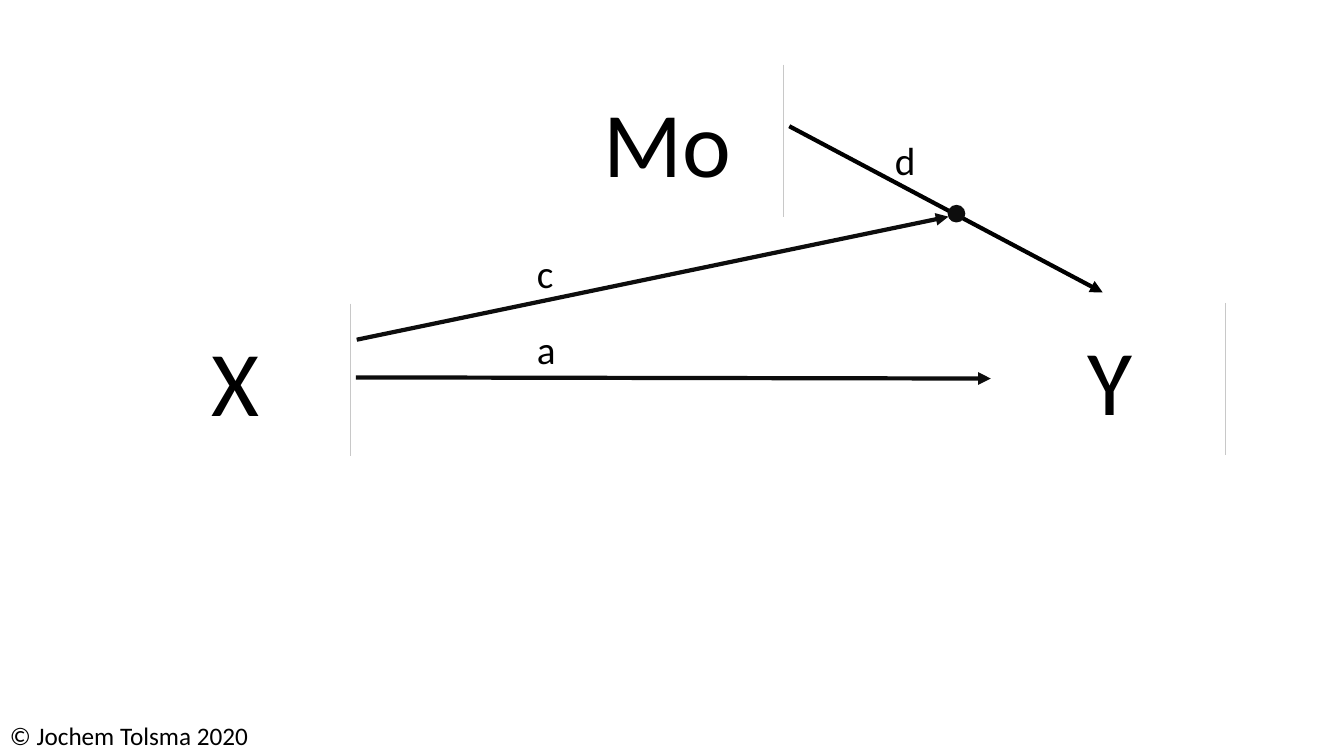
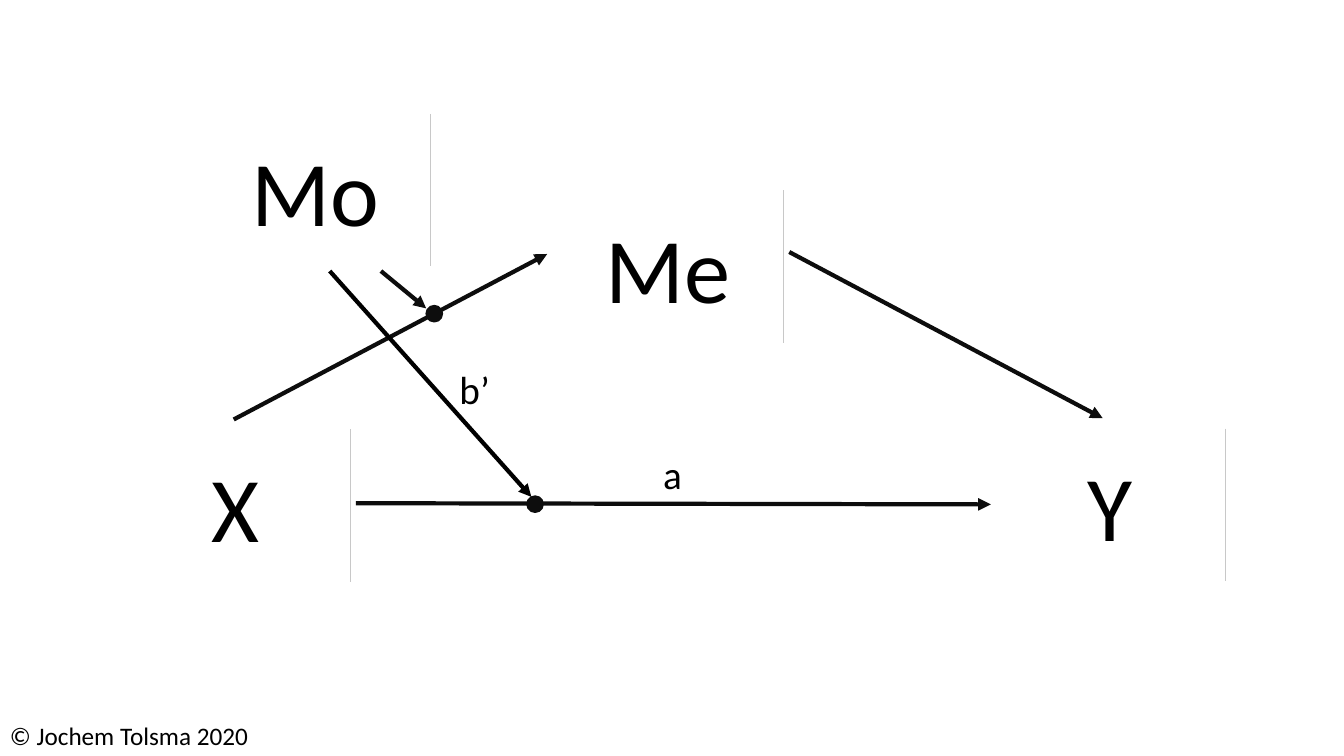
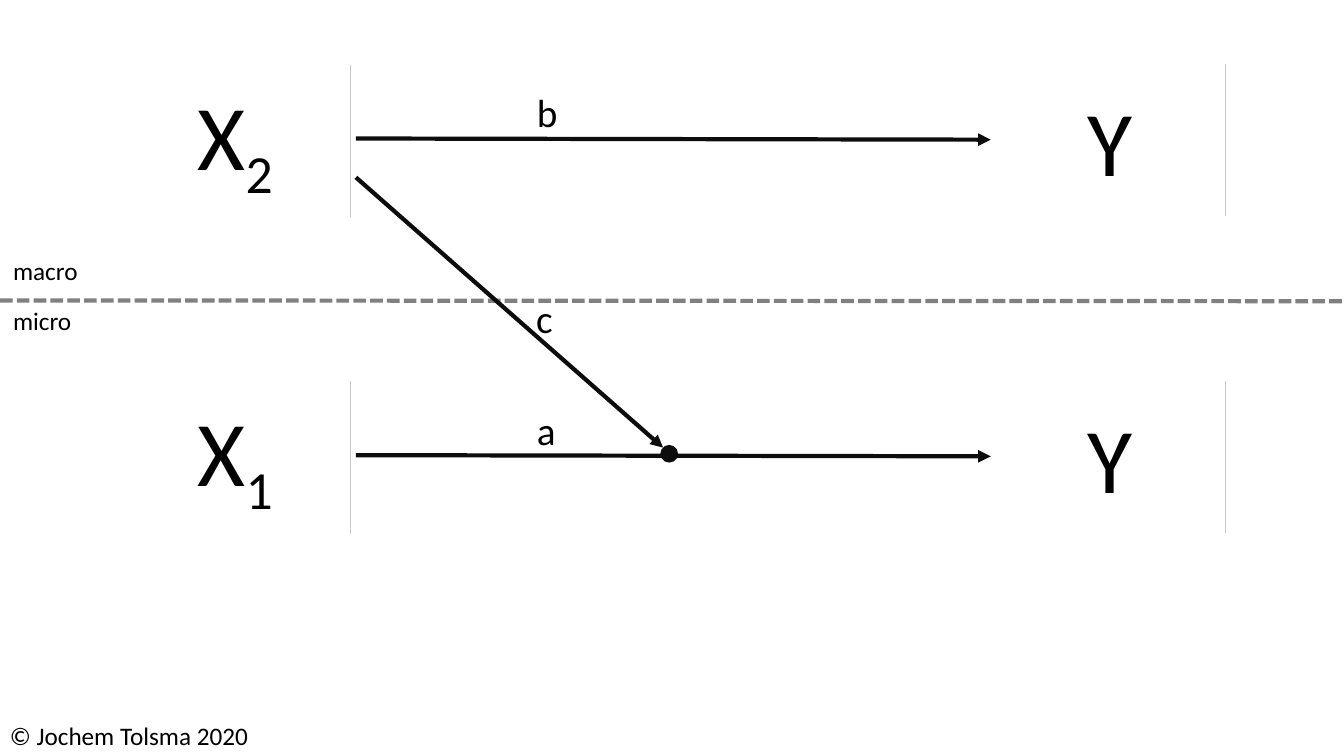
"""Draw three path diagrams of moderation, moderated mediation and cross-level effects."""
from dataclasses import dataclass

import lxml.etree
import pptx
import pptx.dml.color
import pptx.enum.dml
import pptx.enum.shapes
import pptx.enum.text
import pptx.oxml.ns
import pptx.shapes.connector
import pptx.slide
import pptx.text.text
import pptx.util
from pptx.util import Cm

COLORS = {"text": "000000", "ink": "0D0D0D", "paper": "FFFFFF", "edge": "C8C8C8", "divider": "808080"}
FONT = "Calibri"
SLIDE_WIDTH, SLIDE_HEIGHT = 33.87, 19.05
NODE_WIDTH, NODE_HEIGHT = 5.82, 3.84
LEFT_COLUMN, MIDDLE_COLUMN, RIGHT_COLUMN = 3.02, 13.92, 25.07
PATH_START, PATH_END, PATH_DROP = 8.97, 24.97, 1.86
DOT_SIZE = 0.41


@dataclass(frozen=True)
class Node:
    left: float
    top: float
    name: str
    subscript: str = ""


@dataclass(frozen=True)
class Line:
    start: tuple[float, float]
    end: tuple[float, float]
    color: str = "ink"
    width: float = 3
    arrow: bool = True
    dashed: bool = False


@dataclass(frozen=True)
class Label:
    left: float
    top: float
    text: str
    width: float = 1.7
    height: float = 1.45
    size: int = 28


@dataclass(frozen=True)
class Dot:
    left: float
    top: float


@dataclass(frozen=True)
class Row:
    top: float
    subscript: str = ""


Element = Node | Line | Label | Dot | Row

FOOTER = Label(0, 18.03, "© Jochem Tolsma 2020", 9.5, 1.02, 18)

DIAGRAMS: list[list[Element]] = [
    [
        Row(7.65),
        Node(MIDDLE_COLUMN, 1.63, "Mo"),
        Line((8.99, 8.56), (23.9, 5.46)),
        Label(13.28, 8.08, "a"),
        Label(13.28, 6.15, "c"),
        Line((19.89, 3.18), (27.79, 7.37), "text"),
        Dot(23.9, 5.18),
        Label(22.3, 3.3, "d"),
    ],
    [
        Row(10.82),
        Node(MIDDLE_COLUMN, 4.8, "Me"),
        Line((5.89, 10.57), (13.79, 6.4)),
        Line((19.89, 6.35), (27.79, 10.54)),
        Label(16.46, 11.23, "a"),
        Node(5.03, 2.87, "Mo"),
        Line((9.6, 6.83), (10.74, 7.77)),
        Line((8.31, 6.83), (13.39, 12.52), "text"),
        Label(11.33, 9.07, "b’"),
        Dot(13.28, 12.5),
        Dot(10.74, 7.7),
    ],
    [
        Line((0, 7.57), (SLIDE_WIDTH, 7.59), "divider", arrow=False, dashed=True),
        Row(9.61, "1"),
        Row(1.63, "2"),
        Label(0.08, 7.57, "micro", 2.29, 1.02, 18),
        Label(0.08, 6.3, "macro", 2.29, 1.02, 18),
        Line((8.97, 4.47), (16.71, 11.28)),
        Dot(16.66, 11.23),
        Label(13.28, 10.11, "a"),
        Label(13.28, 2.11, "b"),
        Label(13.26, 7.29, "c"),
    ],
]


def rgb(name: str) -> pptx.dml.color.RGBColor:
    return pptx.dml.color.RGBColor.from_string(COLORS[name])


def format_runs(paragraph: pptx.text.text._Paragraph, size: int) -> None:
    for run in paragraph.runs:
        run.font.name = FONT
        run.font.size = pptx.util.Pt(size)
        run.font.color.rgb = rgb("text")


def draw_line(slide: pptx.slide.Slide, line: Line) -> None:
    connector = slide.shapes.add_connector(
        pptx.enum.shapes.MSO_CONNECTOR.STRAIGHT, *(Cm(value) for value in line.start + line.end)
    )
    connector.line.color.rgb = rgb(line.color)
    connector.line.width = pptx.util.Pt(line.width)
    if line.dashed:
        connector.line.dash_style = pptx.enum.dml.MSO_LINE.SQUARE_DOT
    if line.arrow:
        outline = connector.line._get_or_add_ln()
        lxml.etree.SubElement(outline, pptx.oxml.ns.qn("a:tailEnd"), type="triangle")
    lxml.etree.SubElement(connector._element.spPr, pptx.oxml.ns.qn("a:effectLst"))


def draw_node(slide: pptx.slide.Slide, node: Node) -> None:
    shape = slide.shapes.add_shape(
        pptx.enum.shapes.MSO_SHAPE.RECTANGLE, Cm(node.left), Cm(node.top), Cm(NODE_WIDTH), Cm(NODE_HEIGHT)
    )
    shape.shadow.inherit = False
    shape.fill.solid()
    shape.fill.fore_color.rgb = rgb("paper")
    shape.line.fill.background()
    paragraph = shape.text_frame.paragraphs[0]
    paragraph.text = node.name
    paragraph.alignment = pptx.enum.text.PP_ALIGN.CENTER
    if node.subscript:
        subscript = paragraph.add_run()
        subscript.text = node.subscript
        subscript.font._element.set("baseline", "-25000")
    format_runs(paragraph, 66)
    right = node.left + NODE_WIDTH
    draw_line(slide, Line((right, node.top), (right, node.top + NODE_HEIGHT), "edge", 0.5, arrow=False))


def draw_label(slide: pptx.slide.Slide, label: Label) -> None:
    shape = slide.shapes.add_textbox(Cm(label.left), Cm(label.top), Cm(label.width), Cm(label.height))
    shape.text_frame.word_wrap = True
    shape.text_frame.text = label.text
    format_runs(shape.text_frame.paragraphs[0], label.size)


def draw_dot(slide: pptx.slide.Slide, dot: Dot) -> None:
    shape = slide.shapes.add_shape(
        pptx.enum.shapes.MSO_SHAPE.OVAL, Cm(dot.left), Cm(dot.top), Cm(DOT_SIZE), Cm(DOT_SIZE)
    )
    shape.shadow.inherit = False
    shape.fill.solid()
    shape.fill.fore_color.rgb = rgb("ink")
    shape.line.color.rgb = rgb("ink")
    shape.line.width = pptx.util.Pt(1)


def draw_row(slide: pptx.slide.Slide, row: Row) -> None:
    draw_node(slide, Node(LEFT_COLUMN, row.top, "X", row.subscript))
    draw_node(slide, Node(RIGHT_COLUMN, row.top - 0.02, "Y"))
    height = row.top + PATH_DROP
    draw_line(slide, Line((PATH_START, height), (PATH_END, height + 0.03)))


DRAWERS = {Node: draw_node, Line: draw_line, Label: draw_label, Dot: draw_dot, Row: draw_row}


def main() -> None:
    presentation = pptx.Presentation()
    presentation.slide_width = Cm(SLIDE_WIDTH)
    presentation.slide_height = Cm(SLIDE_HEIGHT)
    for diagram in DIAGRAMS:
        slide = presentation.slides.add_slide(presentation.slide_layouts[6])
        for element in [*diagram, FOOTER]:
            DRAWERS[type(element)](slide, element)
    presentation.save("out.pptx")


if __name__ == "__main__":
    main()
